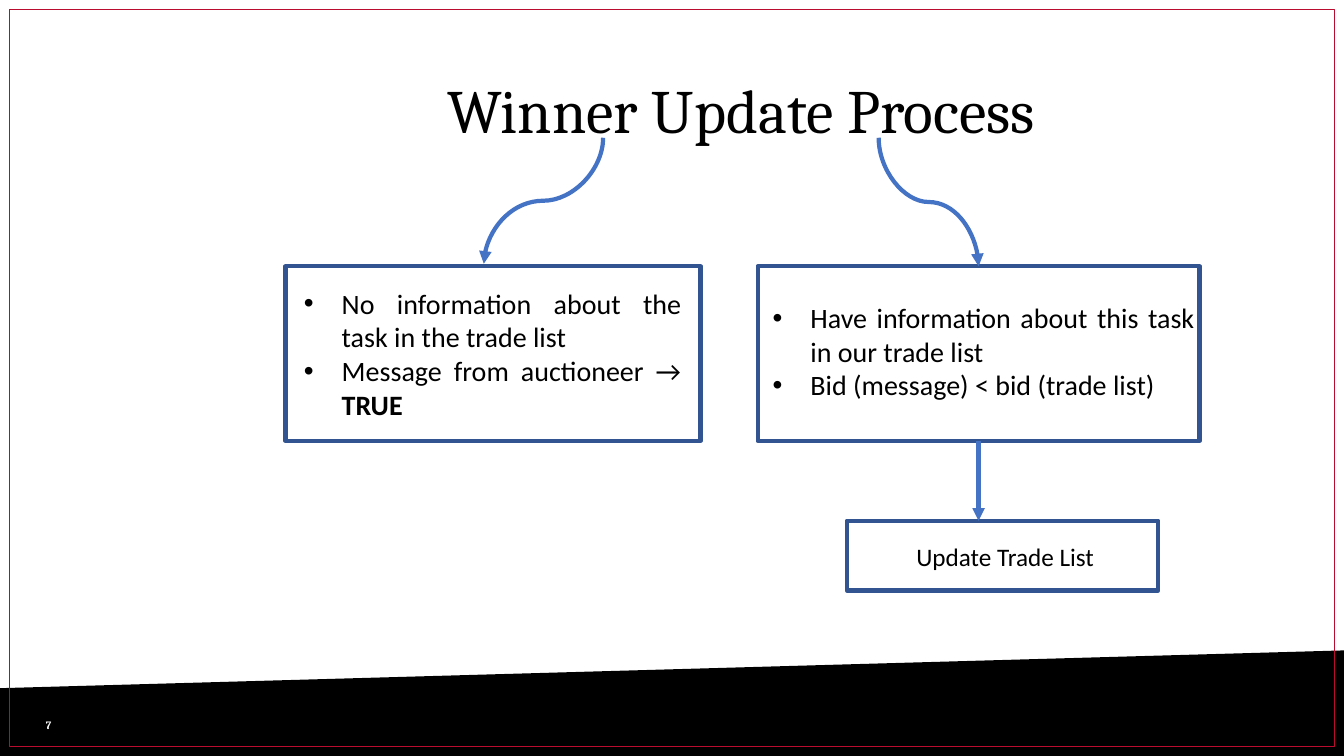
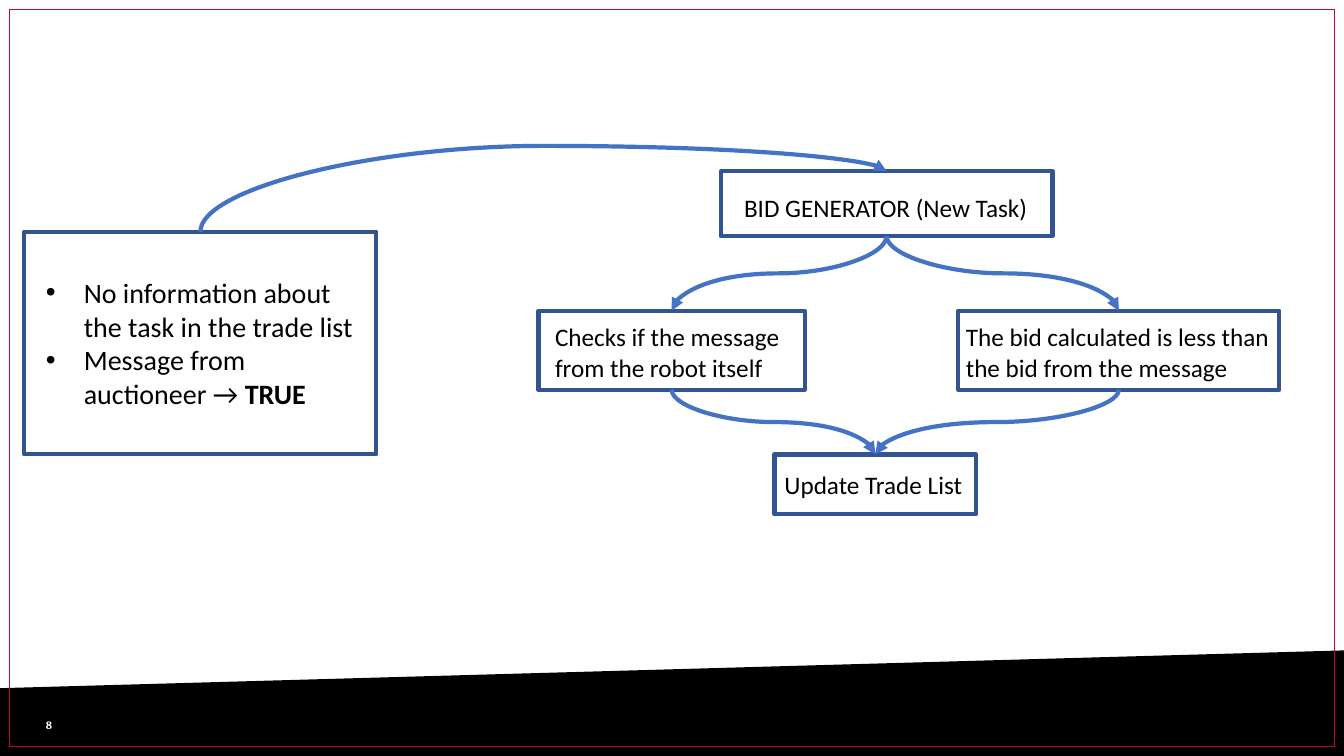
from dataclasses import dataclass
from typing import NamedTuple

from lxml import etree
from pptx import Presentation
from pptx.dml.color import RGBColor
from pptx.enum.shapes import MSO_CONNECTOR, MSO_SHAPE
from pptx.enum.text import MSO_ANCHOR, MSO_AUTO_SIZE, PP_ALIGN
from pptx.oxml.ns import qn
from pptx.util import Emu, Inches, Pt

RECTANGLE = MSO_SHAPE.RECTANGLE
STRAIGHT, CURVE = MSO_CONNECTOR.STRAIGHT, MSO_CONNECTOR.CURVE
LEFT, CENTER, JUSTIFY = PP_ALIGN.LEFT, PP_ALIGN.CENTER, PP_ALIGN.JUSTIFY
TOP, MIDDLE = MSO_ANCHOR.TOP, MSO_ANCHOR.MIDDLE
FIXED, GROW = MSO_AUTO_SIZE.NONE, MSO_AUTO_SIZE.SHAPE_TO_FIT_TEXT
BOTTOM_SITE = 2
TITLE_ONLY, BLANK = 5, 6

COLUMNS, ROWS = 160, 90
CELL = Inches(1) / 12
BULLET_INDENT = 4.5

COLORS = {
    "text": "000000",
    "band": "000000",
    "frame": "BA0C2F",
    "number": "FFFFFF",
    "box": "325491",
    "arrow": "4472C4",
}
BODY_FONT = {"name": "Calibri", "size": Pt(20), "bold": False}
LABEL_FONT = {"name": "Calibri", "size": Pt(18), "bold": False}
TITLE_FONT = {"name": "Cambria", "size": Pt(44), "bold": False}
NUMBER_FONT = {"name": "Cambria", "size": Pt(8), "bold": True}


class Point(NamedTuple):
    column: float
    row: float


class Run(NamedTuple):
    text: str
    bold: bool = False


@dataclass(frozen=True)
class Area:
    column: float
    row: float
    columns: float
    rows: float

    @property
    def top_middle(self) -> Point:
        return Point(self.column + self.columns / 2, self.row)

    @property
    def bottom_middle(self) -> Point:
        return Point(self.column + self.columns / 2, self.row + self.rows)

    def lengths(self) -> tuple:
        return tuple(map(cells, (self.column, self.row, self.columns, self.rows)))


@dataclass(frozen=True)
class TextBlock:
    area: Area
    paragraphs: tuple
    font: dict
    bulleted: bool = False
    alignment: PP_ALIGN = LEFT
    wrap: bool = True


@dataclass(frozen=True)
class Curve:
    start: Point
    end: Point
    bend: float = 0.5


FRAME = Area(1.1, 1.1, 157.8, 87.8)
NUMBER = Area(4.3, 83.9, 7.4, 4.8)
TITLE = Area(27.5, 4.8, 121.5, 17.4)
BAND_OUTLINE = (Point(0, 81.93), Point(COLUMNS, 77.43), Point(COLUMNS, ROWS), Point(0, ROWS))

NEW_TASK_CASE = (
    (Run("No information about the task in the trade list"),),
    (Run("Message from auctioneer → "), Run("TRUE", True)),
)
KNOWN_TASK_CASE = (
    (Run("Have information about this task in our trade list"),),
    (Run("Bid (message) < bid (trade list)"),),
)


def cells(count: float) -> Emu:
    return Emu(round(count * CELL))


def color(name: str) -> RGBColor:
    return RGBColor.from_string(COLORS[name])


def set_values(target, values: dict) -> None:
    for name, value in values.items():
        setattr(target, name, value)


def set_font(font, values: dict, color_name: str = "text") -> None:
    set_values(font, values)
    font.color.rgb = color(color_name)


def set_line(line, color_name: str, width: float) -> None:
    line.color.rgb = color(color_name)
    line.width = Pt(width)


def add_box(slide, area: Area, color_name: str = "box", width: float = 3):
    shape = slide.shapes.add_shape(RECTANGLE, *area.lengths())
    shape.shadow.inherit = False
    shape.fill.background()
    set_line(shape.line, color_name, width)
    return shape


def add_bullet(paragraph) -> None:
    properties = paragraph._p.get_or_add_pPr()
    indent = cells(BULLET_INDENT)
    properties.set("marL", str(indent))
    properties.set("indent", str(-indent))
    etree.SubElement(properties, qn("a:buFont"), typeface="Arial")
    etree.SubElement(properties, qn("a:buChar"), char="•")


def add_text(slide, block: TextBlock) -> None:
    frame = slide.shapes.add_textbox(*block.area.lengths()).text_frame
    set_values(frame, {"word_wrap": block.wrap, "auto_size": GROW, "vertical_anchor": TOP})
    for index, runs in enumerate(block.paragraphs):
        paragraph = frame.add_paragraph() if index else frame.paragraphs[0]
        paragraph.alignment = block.alignment
        if block.bulleted:
            add_bullet(paragraph)
        for text, bold in runs:
            run = paragraph.add_run()
            run.text = text
            set_font(run.font, {**block.font, "bold": bold})


def add_label(slide, area: Area, text: str, wrap: bool = True) -> None:
    add_text(slide, TextBlock(area, ((Run(text),),), LABEL_FONT, wrap=wrap))


def format_arrow(connector) -> None:
    set_line(connector.line, "arrow", 3)
    properties = connector.element.spPr
    etree.SubElement(properties.find(qn("a:ln")), qn("a:tailEnd"), type="triangle")
    etree.SubElement(properties, qn("a:effectLst"))


def add_straight_arrow(slide, start: Point, end: Point, source) -> None:
    connector = slide.shapes.add_connector(STRAIGHT, *map(cells, (*start, *end)))
    connector.begin_connect(source, BOTTOM_SITE)
    format_arrow(connector)


def add_curve(slide, curve: Curve) -> None:
    across = curve.end.column - curve.start.column
    down = curve.end.row - curve.start.row
    middle_column = curve.start.column + across / 2
    middle_row = curve.start.row + down / 2
    turn = 270 if across > 0 and down > 0 else 90
    half_width = abs(down) / 2 * (-1 if turn == 270 or down < 0 else 1)
    half_height = abs(across) / 2 * (-1 if down < 0 else 1)
    ends = (
        middle_column - half_width,
        middle_row - half_height,
        middle_column + half_width,
        middle_row + half_height,
    )
    connector = slide.shapes.add_connector(CURVE, *map(cells, ends))
    properties = connector.element.spPr
    properties.find(qn("a:xfrm")).set("rot", str(turn * 60000))
    geometry = properties.find(qn("a:prstGeom"))
    adjustments = geometry.find(qn("a:avLst"))
    if adjustments is None:
        adjustments = etree.SubElement(geometry, qn("a:avLst"))
    etree.SubElement(adjustments, qn("a:gd"), name="adj1", fmla=f"val {round(curve.bend * 100000)}")
    format_arrow(connector)


def add_slide(presentation, layout: int, number: int):
    slide = presentation.slides.add_slide(presentation.slide_layouts[layout])
    first, *others = [tuple(map(cells, point)) for point in BAND_OUTLINE]
    builder = slide.shapes.build_freeform(*first)
    builder.add_line_segments(others, close=True)
    band = builder.convert_to_shape()
    band.shadow.inherit = False
    band.fill.solid()
    band.fill.fore_color.rgb = color("band")
    band.line.fill.background()
    add_box(slide, FRAME, "frame", 0.75)
    frame = slide.shapes.add_textbox(*NUMBER.lengths()).text_frame
    set_values(frame, {"word_wrap": True, "vertical_anchor": MIDDLE})
    frame.text = str(number)
    set_font(frame.paragraphs[0].runs[0].font, NUMBER_FONT, "number")
    return slide


def set_title(slide, text: str) -> None:
    title = slide.shapes.title
    set_values(title, dict(zip(("left", "top", "width", "height"), TITLE.lengths())))
    frame = title.text_frame
    frame.text = text
    set_values(frame, {"word_wrap": True, "auto_size": FIXED, "vertical_anchor": MIDDLE})
    paragraph = frame.paragraphs[0]
    set_values(paragraph, {"alignment": CENTER, "line_spacing": 0.9})
    set_font(paragraph.runs[0].font, TITLE_FONT)


def build_winner_update(presentation) -> None:
    slide = add_slide(presentation, TITLE_ONLY, 7)
    set_title(slide, "Winner Update Process")
    new_task = Area(34, 31.7, 49.4, 20.8)
    known_task = Area(90.2, 31.7, 52.6, 20.8)
    update = Area(100.8, 62, 37.1, 8.3)
    add_box(slide, new_task)
    known_task_box = add_box(slide, known_task)
    add_box(slide, update)
    for area, paragraphs in (
        (Area(35, 33.5, 47.3, 17.4), NEW_TASK_CASE),
        (Area(90.8, 35.2, 52.6, 13.3), KNOWN_TASK_CASE),
    ):
        add_text(slide, TextBlock(area, paragraphs, BODY_FONT, True, JUSTIFY))
    add_label(slide, Area(107.9, 63.8, 29.9, 4.8), "Update Trade List")
    add_curve(slide, Curve(Point(71.8, 16.4), Point(57.6, 31.4)))
    add_curve(slide, Curve(Point(104.6, 16.4), known_task.top_middle))
    start = known_task.bottom_middle
    add_straight_arrow(slide, start, Point(start.column, update.row), known_task_box)


def build_bid_generator(presentation) -> None:
    slide = add_slide(presentation, BLANK, 8)
    new_task = Area(2.9, 27.6, 41.9, 26.5)
    generator = Area(85.8, 20.4, 39.5, 7.7)
    robot_check = Area(64.1, 37, 31.7, 9.4)
    bid_check = Area(114.1, 37, 38.2, 9.4)
    update = Area(92.2, 54.1, 24, 7.1)
    for area in (new_task, generator, robot_check, bid_check, update):
        add_box(slide, area)
    add_text(slide, TextBlock(Area(4.3, 32.2, 39.1, 17.4), NEW_TASK_CASE, BODY_FONT, True))
    for area, text, wrap in (
        (Area(87.4, 22.3, 36.5, 4.8), "BID GENERATOR (New Task)", False),
        (Area(64.9, 37.7, 33.6, 8.5), "Checks if the message from the robot itself", True),
        (Area(113.8, 37.7, 39.2, 8.5), "The bid calculated is less than the bid from the message", True),
        (Area(92.2, 55.3, 23.9, 4.8), "Update Trade List", False),
    ):
        add_label(slide, area, text, wrap)
    add_curve(slide, Curve(new_task.top_middle, generator.top_middle, 1.42))
    for check in (robot_check, bid_check):
        add_curve(slide, Curve(generator.bottom_middle, check.top_middle))
        add_curve(slide, Curve(check.bottom_middle, update.top_middle))


def main() -> None:
    presentation = Presentation()
    presentation.slide_width = cells(COLUMNS)
    presentation.slide_height = cells(ROWS)
    build_winner_update(presentation)
    build_bid_generator(presentation)
    presentation.save("out.pptx")


if __name__ == "__main__":
    main()
